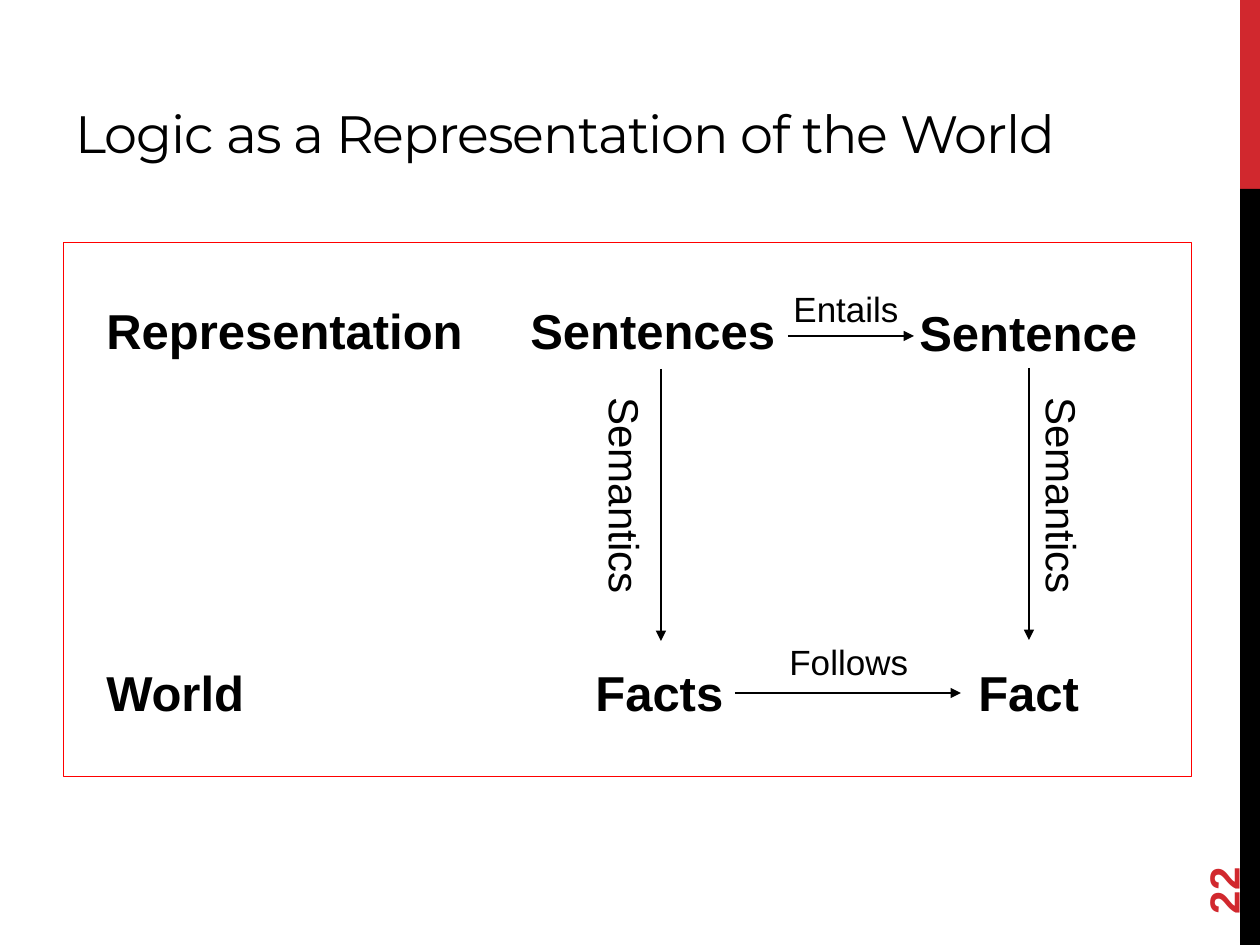
import pptx
import pptx.dml.color
import pptx.enum.shapes
import pptx.enum.text
import pptx.oxml.ns
import pptx.util
from lxml import etree

PX = 914400 / 126  # EMU per px
BLACK = pptx.dml.color.RGBColor(0x00, 0x00, 0x00)
CRIMSON = pptx.dml.color.RGBColor(0xD1, 0x28, 0x2E)
RED = pptx.dml.color.RGBColor(0xFF, 0x00, 0x00)
qn = pptx.oxml.ns.qn


def emu(*lengths):
    return [pptx.util.Emu(round(length * PX)) for length in lengths]


def format_run(run, size, color=BLACK, bold=False, font="Arial"):
    run.font.name = font
    run.font.size = pptx.util.Pt(size)
    run.font.bold = bold
    run.font.color.rgb = color


def add_title(slide, text):
    title = slide.shapes.title
    title.left, title.top, title.width, title.height = emu(63, 21, 1113, 149)
    frame = title.text_frame
    frame.text = text
    frame.vertical_anchor = pptx.enum.text.MSO_ANCHOR.BOTTOM
    frame.paragraphs[0].alignment = pptx.enum.text.PP_ALIGN.LEFT
    run = frame.paragraphs[0].runs[0]
    format_run(run, 30, font="Montserrat")
    run.font._element.set("spc", "-60")


def add_rectangle(slide, box, fill=None, line=None):
    shape = slide.shapes.add_shape(
        pptx.enum.shapes.MSO_SHAPE.RECTANGLE, *emu(*box))
    shape.shadow.inherit = False
    if fill is None:
        shape.fill.background()
    else:
        shape.fill.solid()
        shape.fill.fore_color.rgb = fill
    if line is None:
        shape.line.fill.background()
    else:
        shape.line.color.rgb = line
        shape.line.width = pptx.util.Pt(0.5)


def add_label(slide, text, box, size, color=BLACK, bold=False, rotation=0, tab=None):
    shape = slide.shapes.add_textbox(*emu(*box))
    shape.rotation = rotation
    shape.text_frame.word_wrap = False
    paragraph = shape.text_frame.paragraphs[0]
    paragraph.text = text
    if tab is not None:
        properties = paragraph._p.get_or_add_pPr()
        tabs = etree.SubElement(properties, qn("a:tabLst"))
        etree.SubElement(tabs, qn("a:tab"), pos=str(emu(tab)[0]), algn="l")
    for run in paragraph.runs:
        format_run(run, size, color, bold)


def add_arrow(slide, start, end):
    arrow = slide.shapes.add_connector(
        pptx.enum.shapes.MSO_CONNECTOR.STRAIGHT, *emu(*start, *end))
    arrow.line.color.rgb = BLACK
    arrow.line.width = pptx.util.Pt(0.75)
    etree.SubElement(arrow.line._get_or_add_ln(), qn("a:tailEnd"), type="triangle")
    etree.SubElement(arrow._element.spPr, qn("a:effectLst"))


def main():
    presentation = pptx.Presentation()
    presentation.slide_width, presentation.slide_height = emu(1260, 945)
    slide = presentation.slides.add_slide(presentation.slide_layouts[5])

    # Side band, title and slide number
    add_rectangle(slide, (1240, 0, 20, 189), fill=CRIMSON)
    add_rectangle(slide, (1240, 189, 20, 756), fill=BLACK)
    add_title(slide, "Logic as a Representation of the World")
    add_label(slide, "22", (1126, 811, 181, 50), 24, CRIMSON, bold=True, rotation=270)

    # Relations between the corners
    add_label(slide, "Entails", (781, 281, 132, 55), 20)
    add_label(slide, "Follows", (777, 634, 146, 55), 20)
    for left in (514, 951):
        add_label(slide, "Semantics", (left, 465, 223, 63), 24, rotation=90)
    for start, end in (
        ((788, 336), (914, 336)),
        ((735, 693), (961, 693)),
        ((661, 369), (661, 641)),
        ((1029, 368), (1029, 640)),
    ):
        add_arrow(slide, start, end)

    # Representation row above, world row below
    add_label(slide, "Representation\tSentences", (94, 294, 694, 72), 28,
              bold=True, tab=424)
    for text, box in (
        ("Sentence", (907, 296, 246, 72)),
        ("World", (94, 656, 165, 72)),
        ("Facts", (583, 656, 155, 72)),
        ("Fact", (966, 656, 127, 72)),
    ):
        add_label(slide, text, box, 28, bold=True)

    # Frame around the diagram
    add_rectangle(slide, (63, 242, 1129, 535), line=RED)

    presentation.save("out.pptx")


if __name__ == "__main__":
    main()
